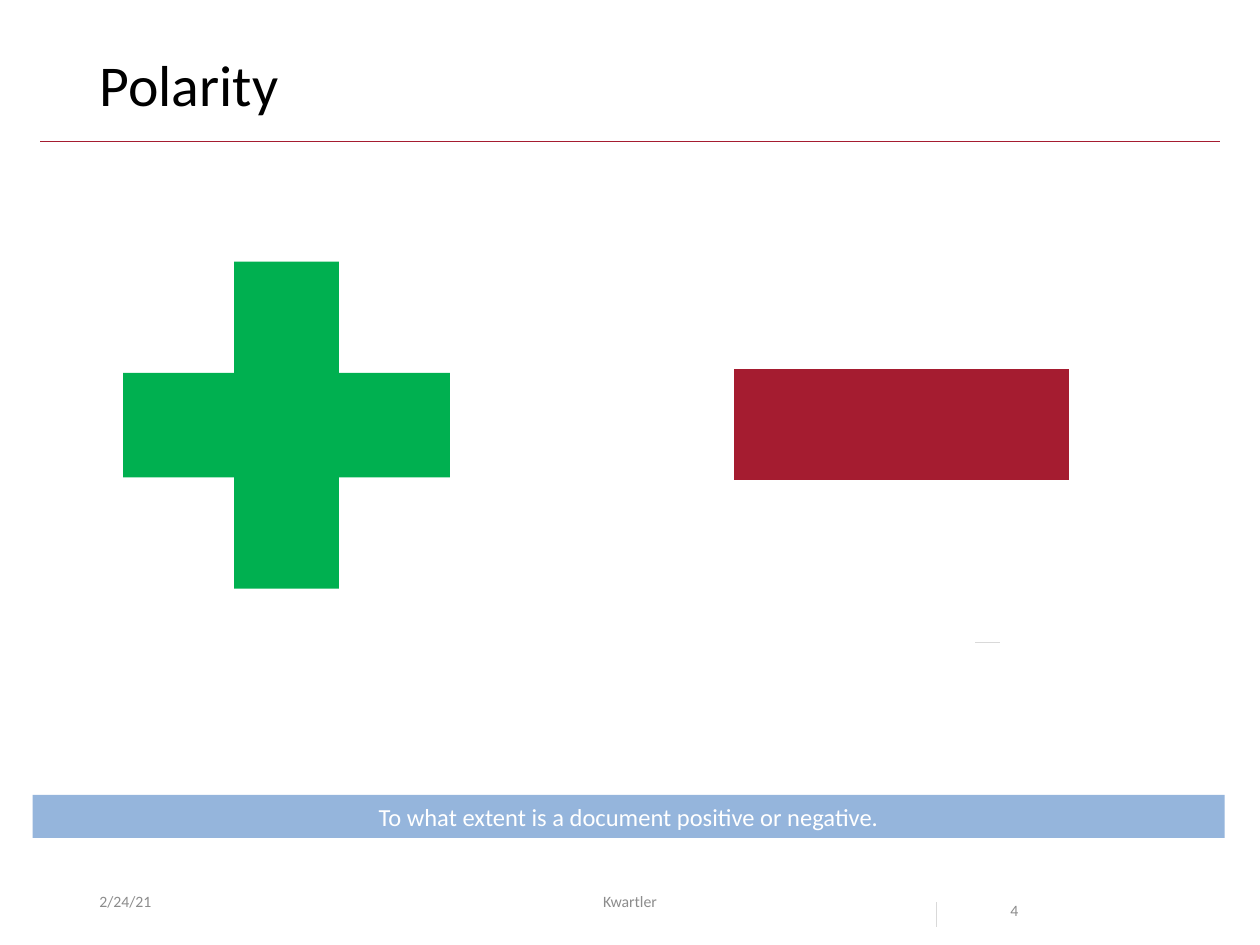
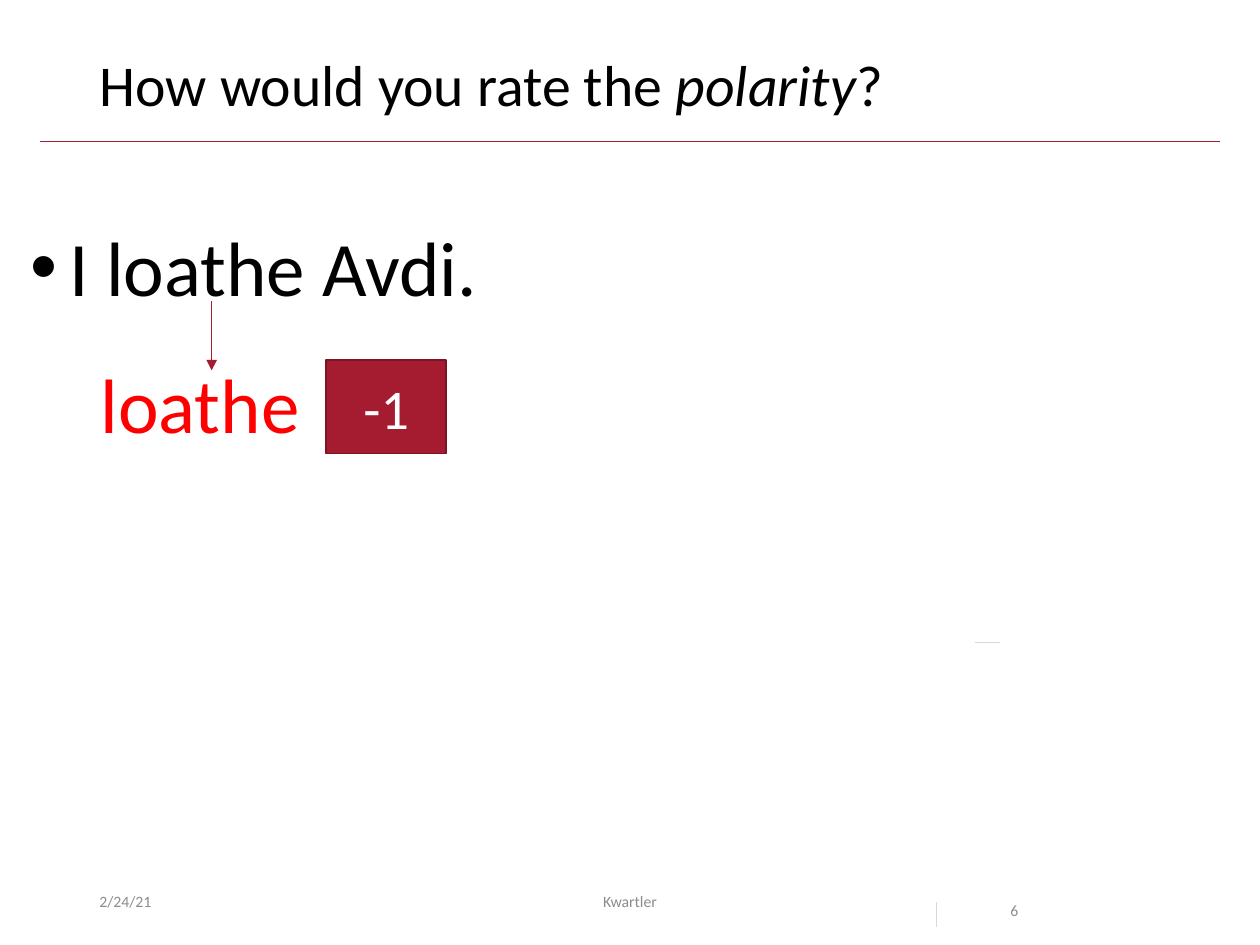
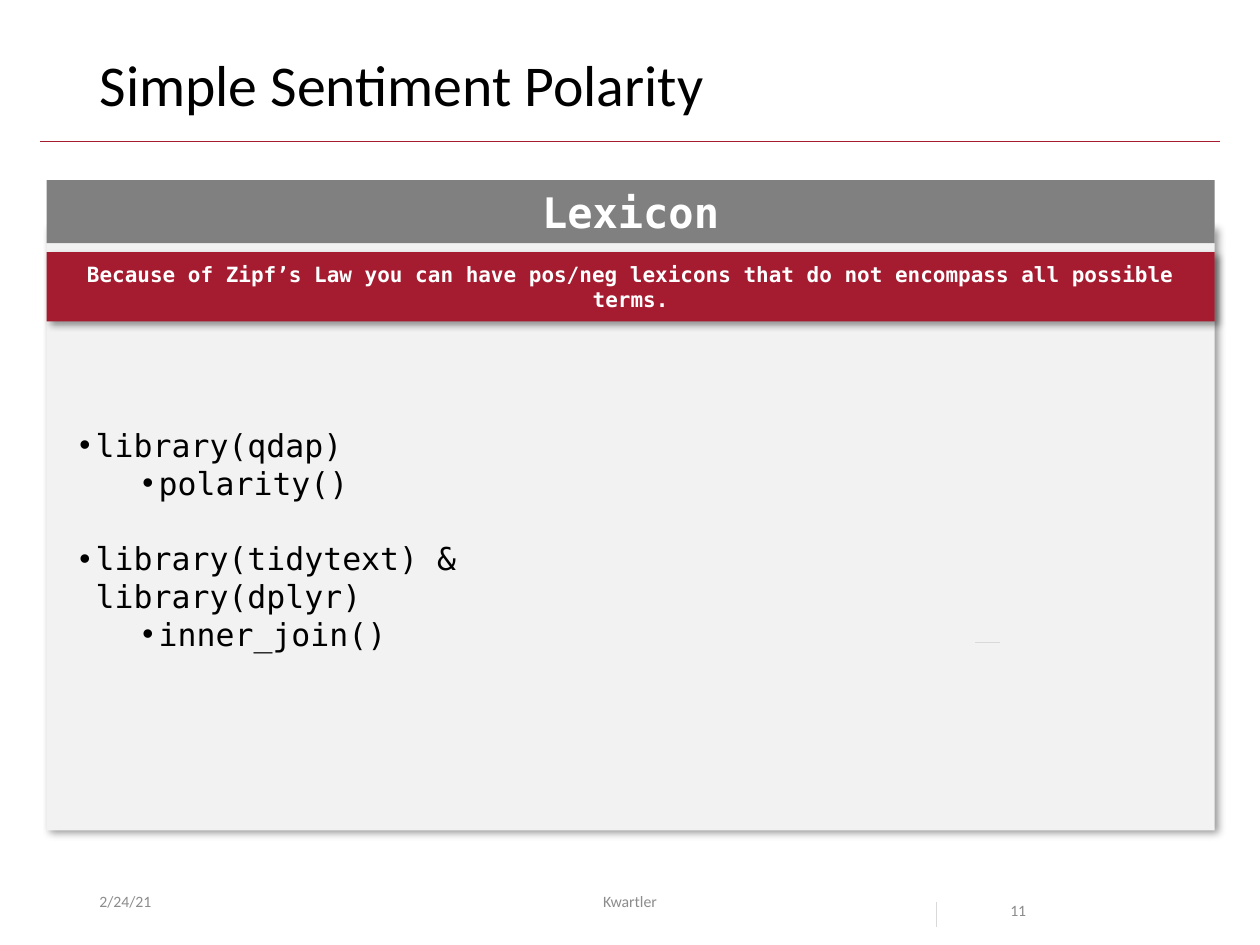
from pptx import Presentation
from pptx.dml.color import RGBColor
from pptx.enum.shapes import MSO_CONNECTOR, MSO_SHAPE
from pptx.enum.text import MSO_ANCHOR, MSO_AUTO_SIZE, PP_ALIGN
from pptx.oxml import parse_xml
from pptx.oxml.ns import nsdecls
from pptx.util import Inches, Pt

CRIMSON = RGBColor(0xA5, 0x1C, 0x30)
DARK_CRIMSON = RGBColor(0x7A, 0x15, 0x24)
GREEN = RGBColor(0x00, 0xB0, 0x50)
RED = RGBColor(0xFF, 0x00, 0x00)
BLUE = RGBColor(0x95, 0xB5, 0xDC)
BLACK = RGBColor(0x00, 0x00, 0x00)
WHITE = RGBColor(0xFF, 0xFF, 0xFF)
PANEL = RGBColor(0xF2, 0xF2, 0xF2)
GREY = RGBColor(0x80, 0x80, 0x80)
FOOTER_GREY = RGBColor(0x8C, 0x8C, 0x8C)
TICK_GREY = RGBColor(0xD9, 0xD9, 0xD9)

SANS, MONO = "Calibri", "DejaVu Sans Mono"

# The slide is a grid of 10 columns by 7.5 rows, one inch each
COLS, ROWS = 10, 7.5
RULE_Y, RULE_INSET = 1.12, 0.32
FOOTER_Y, FOOTER_H = 6.95, 0.4
TEXT_X = 0.69
PANEL_X = 0.37
PANEL_W = COLS - 2 * PANEL_X + 0.01
TITLE_ONLY, TITLE_AND_BODY = 5, 1


def grid(*lengths):
    return [Inches(n) for n in lengths]


def place(s, at):
    s.left, s.top, s.width, s.height = grid(*at)


def style(p, size, color, font=SANS, bold=False):
    for r in p.runs:
        f = r.font
        f.name, f.size, f.bold = font, Pt(size), bold
        f.color.rgb = color


def add_line(slide, start, end, color, arrow=False):
    s = slide.shapes.add_connector(MSO_CONNECTOR.STRAIGHT, *grid(*start, *end))
    s.line.color.rgb, s.line.width = color, Pt(0.5)
    if arrow:
        s.line._get_or_add_ln().append(
            parse_xml(f'<a:tailEnd {nsdecls("a")} type="triangle"/>'))
    s._element.spPr.append(parse_xml(f'<a:effectLst {nsdecls("a")}/>'))


def add_text(slide, at, text, size, color, align=PP_ALIGN.LEFT,
             anchor=MSO_ANCHOR.TOP):
    tf = slide.shapes.add_textbox(*grid(*at)).text_frame
    tf.word_wrap, tf.vertical_anchor = True, anchor
    tf.text = text
    p = tf.paragraphs[0]
    p.alignment = align
    style(p, size, color)
    return p


def add_block(slide, kind, at, fill, text="", size=14, font=SANS, bold=False,
              outline=None, shadow=False):
    s = slide.shapes.add_shape(kind, *grid(*at))
    s.shadow.inherit = False
    s.fill.solid()
    s.fill.fore_color.rgb = fill
    if outline:
        s.line.color.rgb, s.line.width = outline, Pt(1)
    else:
        s.line.fill.background()
    if shadow:
        s._element.spPr.find("{*}effectLst").append(parse_xml(
            f'<a:outerShdw {nsdecls("a")} blurRad="{Pt(4)}" dist="{Pt(3)}" '
            'dir="2700000" algn="tl" rotWithShape="0"><a:srgbClr val="000000">'
            '<a:alpha val="40000"/></a:srgbClr></a:outerShdw>'))
    if text:
        tf = s.text_frame
        tf.text, tf.vertical_anchor = text, MSO_ANCHOR.MIDDLE
        p = tf.paragraphs[0]
        p.alignment = PP_ALIGN.CENTER
        style(p, size, WHITE, font, bold)


def indent(p, left, first=0.0):
    pPr = p._p.get_or_add_pPr()
    pPr.set("marL", str(Inches(left)))
    pPr.set("indent", str(Inches(first)))
    return pPr


def fill_body(slide, at, items, size, font, hang):
    """Write items of (text, level, space before) as a bulleted list."""
    s = slide.placeholders[1]
    place(s, at)
    tf = s.text_frame
    tf.auto_size, tf.vertical_anchor = MSO_AUTO_SIZE.NONE, MSO_ANCHOR.TOP
    tf.text = "\n".join(text for text, _, _ in items)
    for p, (_, level, before) in zip(tf.paragraphs, items):
        p.level, p.space_before = level, Pt(before)
        pPr = indent(p, hang + level / 2, -hang)
        pPr.append(parse_xml(f'<a:buChar {nsdecls("a")} char="•"/>'))
        style(p, size, BLACK, font)
    # Bring the list in front of the shapes drawn before it
    slide.shapes._spTree.append(s._element)


def add_slide(prs, layout, number, *title_parts):
    """Start a slide with its title, rule and footer; odd title parts are italic."""
    slide = prs.slides.add_slide(prs.slide_layouts[layout])
    title = slide.shapes.title
    place(title, (TEXT_X, 0.4, COLS - 2 * TEXT_X, 0.65))
    tf = title.text_frame
    tf.auto_size, tf.vertical_anchor = MSO_AUTO_SIZE.NONE, MSO_ANCHOR.TOP
    p = tf.paragraphs[0]
    p.alignment, p.line_spacing = PP_ALIGN.LEFT, 0.9
    for i, part in enumerate(title_parts):
        r = p.add_run()
        r.text, r.font.italic = part, i % 2 == 1
    style(p, 33, BLACK)
    add_line(slide, (RULE_INSET, RULE_Y), (COLS - RULE_INSET, RULE_Y), CRIMSON)

    # Footer
    add_text(slide, (TEXT_X, FOOTER_Y, 2.25, FOOTER_H), "2/24/21", 9,
             FOOTER_GREY, anchor=MSO_ANCHOR.MIDDLE)
    add_text(slide, (3.31, FOOTER_Y, 3.38, FOOTER_H), "Kwartler", 9,
             FOOTER_GREY, PP_ALIGN.CENTER, MSO_ANCHOR.MIDDLE)
    p = add_text(slide, (7.92, FOOTER_Y, 0.94, FOOTER_H), str(number), 9, FOOTER_GREY)
    p.line_spacing = 2.0
    return slide


def add_ticks(slide):
    add_line(slide, (7.43, 7.16), (7.43, 7.36), TICK_GREY)
    add_line(slide, (7.74, 5.1), (7.94, 5.1), TICK_GREY)


def polarity_slide(prs):
    slide = add_slide(prs, TITLE_ONLY, 4, "Polarity")
    add_block(slide, MSO_SHAPE.MATH_PLUS, (0.51, 1.61, 3.53, 3.53), GREEN)
    add_block(slide, MSO_SHAPE.MATH_MINUS, (5.35, 1.51, 3.61, 3.72), CRIMSON)
    add_block(slide, MSO_SHAPE.RECTANGLE, (0.26, 6.31, 9.46, 0.34), BLUE,
              "To what extent is a document positive or negative.")
    add_ticks(slide)


def rating_slide(prs):
    slide = add_slide(prs, TITLE_AND_BODY, 6,
                      "How would you rate the ", "polarity", "?")
    fill_body(slide, (0.14, 1.69, 9.69, 0.84), [("I loathe Avdi.", 0, 0)],
              44, SANS, 0.31)
    # The scored word
    p = add_text(slide, (0.15, 2.78, 9.69, 0.84), "loathe", 44, RED)
    indent(p, 0.55)
    add_block(slide, MSO_SHAPE.RECTANGLE, (2.59, 2.86, 0.95, 0.74), CRIMSON,
              "-1", 32, outline=DARK_CRIMSON)
    add_line(slide, (1.68, 2.39), (1.68, 2.94), CRIMSON, arrow=True)
    add_ticks(slide)


def lexicon_slide(prs):
    slide = add_slide(prs, TITLE_AND_BODY, 11, "Simple Sentiment Polarity")
    add_block(slide, MSO_SHAPE.RECTANGLE, (PANEL_X, 1.79, PANEL_W, 4.8), PANEL,
              shadow=True)
    add_block(slide, MSO_SHAPE.RECTANGLE, (PANEL_X, 1.43, PANEL_W, 0.5), GREY,
              "Lexicon", 24, MONO, bold=True)
    fill_body(slide, (0.53, 3.33, 4.24, 1.62),
              [("library(qdap)", 0, 0),
               ("polarity()", 1, 0),
               ("library(tidytext) & library(dplyr)", 0, 21.6),
               ("inner_join()", 1, 0)],
              18, MONO, 0.13)
    add_block(slide, MSO_SHAPE.RECTANGLE, (PANEL_X, 2, PANEL_W, 0.55), CRIMSON,
              "Because of Zipf’s Law you can have pos/neg lexicons that do not "
              "encompass all possible terms.", 12, MONO, bold=True, shadow=True)
    add_ticks(slide)


def main():
    prs = Presentation()
    prs.slide_width, prs.slide_height = grid(COLS, ROWS)
    polarity_slide(prs)
    rating_slide(prs)
    lexicon_slide(prs)
    prs.save("out.pptx")


if __name__ == "__main__":
    main()
